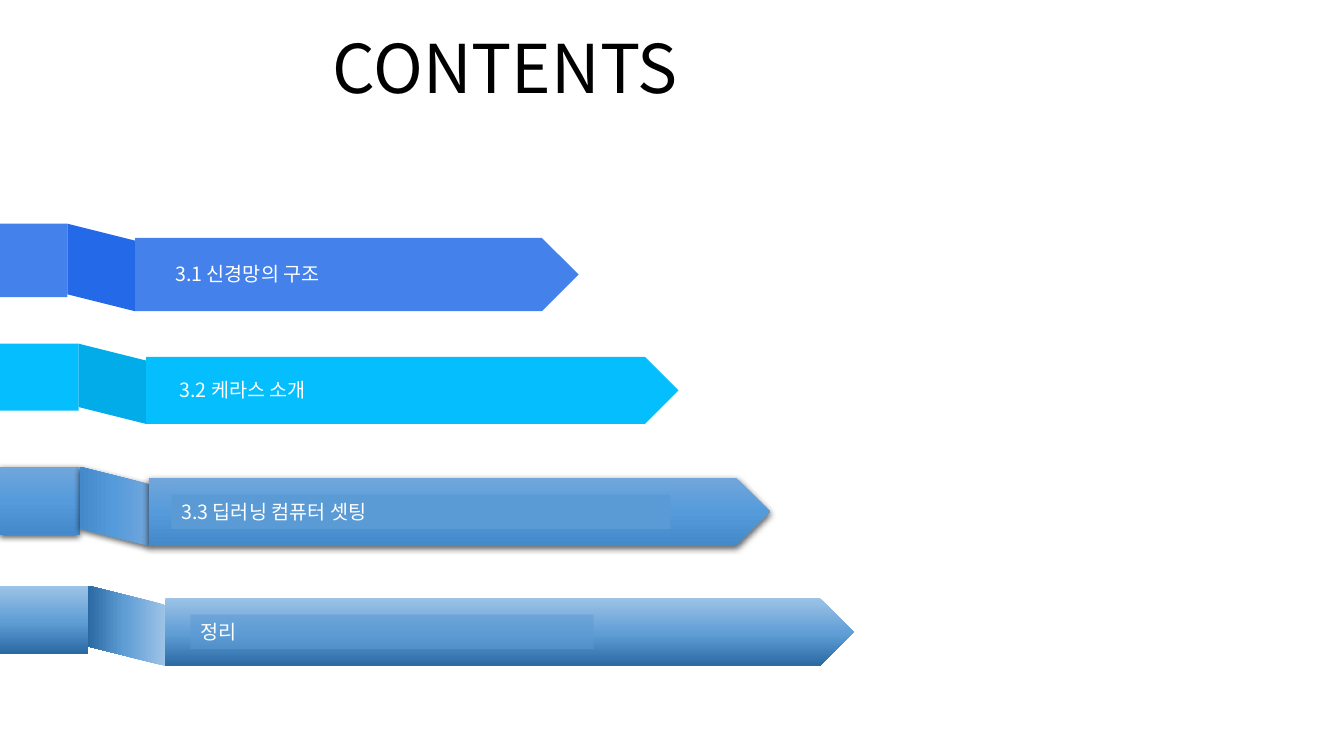
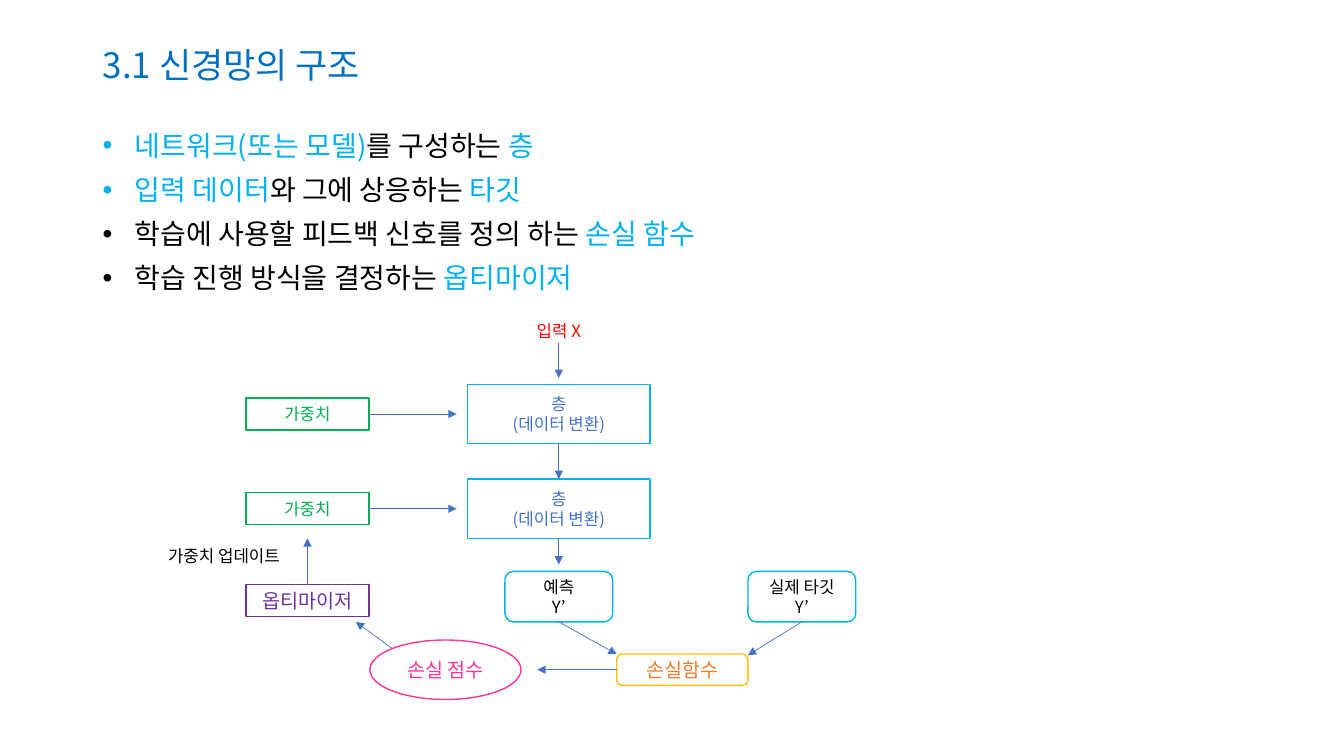
from dataclasses import dataclass

from lxml import etree
from pptx import Presentation
from pptx.dml.color import RGBColor
from pptx.enum.shapes import MSO_CONNECTOR, MSO_SHAPE
from pptx.enum.text import MSO_ANCHOR, MSO_AUTO_SIZE, PP_ALIGN
from pptx.oxml.ns import qn
from pptx.util import Pt

RECT, ROUND = MSO_SHAPE.RECTANGLE, MSO_SHAPE.ROUNDED_RECTANGLE
OVAL, ARROW, FOLD = MSO_SHAPE.OVAL, MSO_SHAPE.PENTAGON, MSO_SHAPE.PARALLELOGRAM
STRAIGHT = MSO_CONNECTOR.STRAIGHT
LEFT, CENTER = PP_ALIGN.LEFT, PP_ALIGN.CENTER
TOP, MIDDLE = MSO_ANCHOR.TOP, MSO_ANCHOR.MIDDLE
NO_FIT = MSO_AUTO_SIZE.NONE
SITE_TOP, SITE_BOTTOM, SITE_LEFT, SITE_RIGHT = 0, 2, 1, 3


@dataclass(frozen=True)
class Theme:
    """Colours, font and type sizes of the deck."""
    font: str = "Noto Sans CJK KR"
    black: str = "000000"
    white: str = "FFFFFF"
    heading: str = "0070C0"
    key: str = "00B0F0"
    flow: str = "4472C4"
    weight: str = "00B050"
    entry: str = "FF0000"
    optimizer: str = "7030A0"
    score: str = "FF3399"
    loss_line: str = "FFC000"
    loss_text: str = "ED7D31"
    label: str = "5B9BD5"
    cover_size: int = 48
    title_size: int = 25
    body_size: int = 20
    node_size: int = 14
    small_size: int = 12


T = Theme()
SLIDE_W, SLIDE_H = 960, 540

# Gradient stops run from top to bottom.
SOFT = ((0, "71A6DB"), (50, "559BDB"), (100, "448ACA"))
DEEP = ((0, "9DC3E6"), (52, "609ED6"), (100, "2A69A2"))

COVER_TITLE = "CONTENTS"
# text, height, tail (width, top), arrow (left, top, width), label (left, width),
# band paint, fold paint, label (colour, opacity), shadow
RIBBONS = [
    ("3.1 신경망의 구조", 52.4, (48.2, 159.8), (96.5, 169.9, 316.8), (118.1, 180),
     "4481EB", "246AE8", None, False),
    ("3.2 케라스 소개", 47.9, (56.2, 245.5), (104.4, 254.9, 380.2), (121, 223.9),
     "04BEFE", "01ACE9", None, False),
    ("3.3 딥러닝 컴퓨터 셋팅", 48.6, (56.9, 333.4), (106.6, 341.3, 443.5),
     (122.4, 356.4), SOFT, SOFT, (T.label, 100), True),
    ("정리", 48.6, (62.9, 418.3), (118.1, 427, 491.8), (136.1, 288),
     DEEP, DEEP, (T.label, 50), False),
]
LABEL_H = 24.5

TOPIC_TITLE = "3.1 신경망의 구조"
BULLETS = [
    [("네트워크(또는 모델)", T.key), ("를 구성하는 ", T.black), ("층", T.key)],
    [("입력 데이터", T.key), ("와 그에 상응하는 ", T.black), ("타깃", T.key)],
    [("학습에 사용할 피드백 신호를 정의 하는 ", T.black), ("손실 함수", T.key)],
    [("학습 진행 방식을 결정하는 ", T.black), ("옵티마이저", T.key)],
]
BULLET_INDENT = 23

# Centre lines of the diagram
COL_WEIGHT, COL_SCORE, COL_LAYER, COL_LOSS, COL_TARGET = 219.6, 318.2, 399.2, 487.4, 572.8
ROW_1, ROW_2, ROW_RESULT, ROW_OPT, ROW_LOSS = 295.7, 363.4, 426.2, 429.1, 478.4

# kind: shape, width, height, line colour, text colour, type size
KINDS = {
    "weight": (RECT, 87.8, 23, T.weight, T.weight, T.small_size),
    "layer": (RECT, 130.3, 42.5, T.key, T.flow, T.small_size),
    "result": (ROUND, 77, 36, T.key, T.black, T.small_size),
    "loss": (ROUND, 93.6, 22.4, T.loss_line, T.loss_text, T.node_size),
    "score": (OVAL, 108, 42.5, T.score, T.score, T.node_size),
    "optimizer": (RECT, 87.8, 23, T.optimizer, T.optimizer, T.node_size),
}
LAYER_TEXT = ["층", "(데이터 변환)"]
# name: kind, centre x, centre y, lines of text
NODES = {
    "weight 1": ("weight", COL_WEIGHT, ROW_1, ["가중치"]),
    "layer 1": ("layer", COL_LAYER, ROW_1, LAYER_TEXT),
    "weight 2": ("weight", COL_WEIGHT, ROW_2, ["가중치"]),
    "layer 2": ("layer", COL_LAYER, ROW_2, LAYER_TEXT),
    "prediction": ("result", COL_LAYER, ROW_RESULT, ["예측", "Y’"]),
    "target": ("result", COL_TARGET, ROW_RESULT, ["실제 타깃", "Y’"]),
    "loss": ("loss", COL_LOSS, ROW_LOSS, ["손실함수"]),
    "score": ("score", COL_SCORE, ROW_LOSS, ["손실 점수"]),
    "optimizer": ("optimizer", COL_WEIGHT, ROW_OPT, ["옵티마이저"]),
}
# Each end is a point or a (node, site) pair.
ARROWS = [
    ((COL_LAYER, 244.8), (COL_LAYER, 270)),
    (("weight 1", SITE_RIGHT), (326.2, ROW_1)),
    (("layer 1", SITE_BOTTOM), ("layer 2", SITE_TOP)),
    (("weight 2", SITE_RIGHT), (326.2, ROW_2)),
    (("layer 2", SITE_BOTTOM), (COL_LAYER, 403.2)),
    (("prediction", SITE_BOTTOM), (440.6, 467.3)),
    (("target", SITE_BOTTOM), (534.2, 468)),
    (("loss", SITE_LEFT), (383.8, ROW_LOSS)),
    ((280.1, 463.2), (254.2, 444.2)),
    (("optimizer", SITE_TOP), (COL_WEIGHT, 384.5)),
]
# text, box, colour, alignment
NOTES = [
    ("입력 X", (357.1, 225.4, 84.2, 21.8), T.entry, CENTER),
    ("가중치 업데이트", (113, 386.6, 103.7, 21.8), T.black, LEFT),
]


def rgb(color):
    """Turn a hex string into a colour."""
    return RGBColor.from_string(color)


def add(parent, tag, **attrs):
    """Append a DrawingML child element."""
    return etree.SubElement(parent, qn(tag), attrs)


def write(tf, lines, size, align=LEFT, anchor=TOP):
    """Fill a text frame; each line is a list of (text, colour) runs."""
    tf.word_wrap, tf.auto_size, tf.vertical_anchor = True, NO_FIT, anchor
    for i, line in enumerate(lines):
        p = tf.add_paragraph() if i else tf.paragraphs[0]
        p.alignment = align
        for text, color in line:
            r = p.add_run()
            r.text = text
            r.font.size = Pt(size)
            r.font.color.rgb = rgb(color)
            r.font.name = T.font
            add(r.font._element, "a:ea", typeface=T.font)
    return tf.paragraphs


def add_title(s, text, box, color, size, align, anchor):
    """Place and format the title placeholder."""
    sp = s.shapes.title
    sp.left, sp.top, sp.width, sp.height = map(Pt, box)
    return write(sp.text_frame, [[(text, color)]], size, align, anchor)[0]


def add_text(shapes, box, lines, size, align=LEFT):
    """Add a wrapping text box."""
    sp = shapes.add_textbox(*map(Pt, box))
    return write(sp.text_frame, lines, size, align)


def add_shape(shapes, kind, box, paint, line=None):
    """Add a preset shape painted with a colour or vertical gradient stops."""
    sp = shapes.add_shape(kind, *map(Pt, box))
    sp.shadow.inherit = False
    if isinstance(paint, str):
        sp.fill.solid()
        sp.fill.fore_color.rgb = rgb(paint)
    else:
        sp.fill.gradient()
        sp.fill.gradient_angle = 270
        stops = sp._element.spPr.find(".//" + qn("a:gsLst"))
        for gs in list(stops):
            stops.remove(gs)
        for pos, color in paint:
            gs = add(stops, "a:gs", pos=str(pos * 1000))
            add(gs, "a:srgbClr", val=color)
    if line:
        sp.line.color.rgb = rgb(line)
        sp.line.width = Pt(1)
    else:
        sp.line.fill.background()
    return sp


def drop_shadow(sp):
    """Give a shape a soft shadow straight below it."""
    effects = sp._element.spPr.find(qn("a:effectLst"))
    shadow = add(effects, "a:outerShdw", blurRad=str(Pt(4.5)), dist=str(Pt(1.5)),
                 dir="5400000", algn="ctr", rotWithShape="0")
    add(add(shadow, "a:srgbClr", val=T.black), "a:alpha", val="63000")


def add_ribbon(s, text, h, tail, arrow, label, band, fold, label_paint, shadow):
    """Draw a folded ribbon: tail, fold, arrow and its label."""
    shapes = s.shapes.add_group_shape().shapes
    tail_w, tail_top = tail
    left, top, width = arrow
    # The fold joins tail and arrow; its box is given before the quarter turn.
    fold_w, fold_h = left - tail_w, top + h - tail_top
    fold_box = ((tail_w + left - fold_h) / 2, tail_top + (fold_h - fold_w) / 2,
                fold_h, fold_w)
    parts = [add_shape(shapes, RECT, (0, tail_top, tail_w, h), band),
             add_shape(shapes, FOLD, fold_box, fold),
             add_shape(shapes, ARROW, (left, top, width, h), band)]
    parts[1].rotation = 90
    if shadow:
        for sp in parts:
            drop_shadow(sp)
    box = (label[0], top + (h - LABEL_H) / 2, label[1], LABEL_H)
    lines = [[(text, T.white)]]
    if label_paint is None:
        add_text(shapes, box, lines, T.node_size)
        return
    color, opacity = label_paint
    sp = add_shape(shapes, RECT, box, color)
    if opacity < 100:
        clr = sp._element.spPr.find(qn("a:solidFill"))[0]
        add(clr, "a:alpha", val=str(opacity * 1000))
    write(sp.text_frame, lines, T.node_size)


def add_node(s, kind, cx, cy, texts):
    """Add a diagram node centred on a point."""
    shape, w, h, line, color, size = KINDS[kind]
    sp = add_shape(s.shapes, shape, (cx - w / 2, cy - h / 2, w, h), T.white, line)
    write(sp.text_frame, [[(t, color)] for t in texts], size, CENTER, MIDDLE)
    return sp


def add_arrow(s, nodes, start, end):
    """Draw an arrow, glued to a node wherever an end names one."""
    points = [(0, 0) if e[0] in nodes else e for e in (start, end)]
    cxn = s.shapes.add_connector(STRAIGHT, *(Pt(v) for pt in points for v in pt))
    if start[0] in nodes:
        cxn.begin_connect(nodes[start[0]], start[1])
    if end[0] in nodes:
        cxn.end_connect(nodes[end[0]], end[1])
    cxn.line.color.rgb = rgb(T.flow)
    cxn.line.width = Pt(0.5)
    add(cxn.line._get_or_add_ln(), "a:tailEnd", type="triangle")
    add(cxn._element.spPr, "a:effectLst")


def add_bullets(s, box, lines):
    """Add the bulleted list."""
    for p in add_text(s.shapes, box, lines, T.body_size):
        p.line_spacing, p.space_before = 0.9, Pt(10)
        pPr = p._p.get_or_add_pPr()
        pPr.set("marL", str(Pt(BULLET_INDENT)))
        pPr.set("indent", str(-Pt(BULLET_INDENT)))
        add(pPr, "a:buFont", typeface="Arial")
        add(pPr, "a:buChar", char="•")


def build_contents(prs):
    """Build the contents slide."""
    s = prs.slides.add_slide(prs.slide_layouts[5])
    add_title(s, COVER_TITLE, (51.8, 15.1, 617.8, 65.5), T.black, T.cover_size,
              CENTER, TOP)
    for ribbon in RIBBONS:
        add_ribbon(s, *ribbon)


def build_structure(prs):
    """Build the slide on the structure of a neural network."""
    s = prs.slides.add_slide(prs.slide_layouts[5])
    p = add_title(s, TOPIC_TITLE, (66.2, 28.8, 828, 38.2), T.heading, T.title_size,
                  LEFT, MIDDLE)
    p.line_spacing = 0.9
    add_bullets(s, (66.2, 90.7, 828, 131.8), BULLETS)
    nodes = {name: add_node(s, *node) for name, node in NODES.items()}
    for start, end in ARROWS:
        add_arrow(s, nodes, start, end)
    for text, box, color, align in NOTES:
        add_text(s.shapes, box, [[(text, color)]], T.small_size, align)


prs = Presentation()
prs.slide_width, prs.slide_height = Pt(SLIDE_W), Pt(SLIDE_H)
build_contents(prs)
build_structure(prs)
prs.save("out.pptx")
